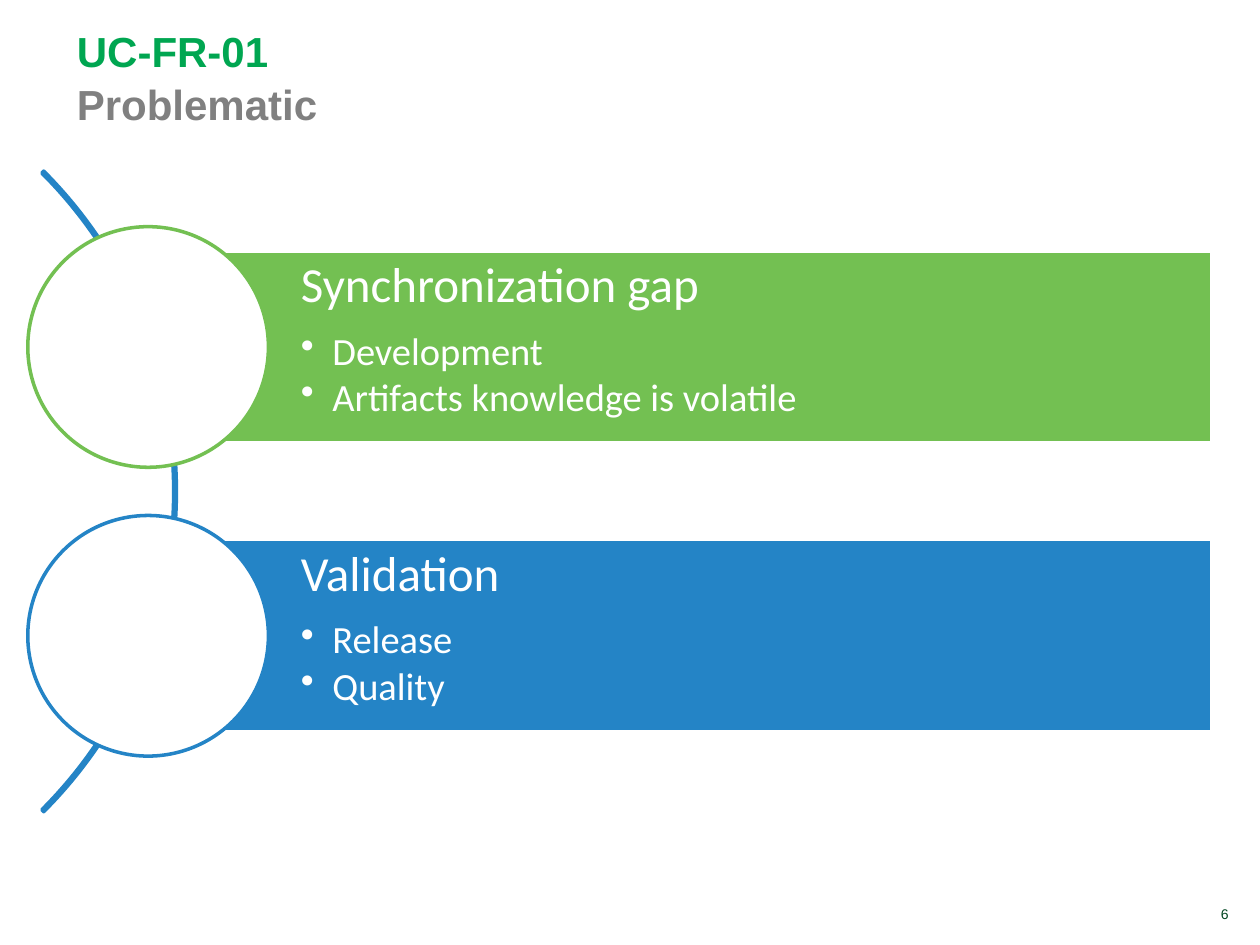
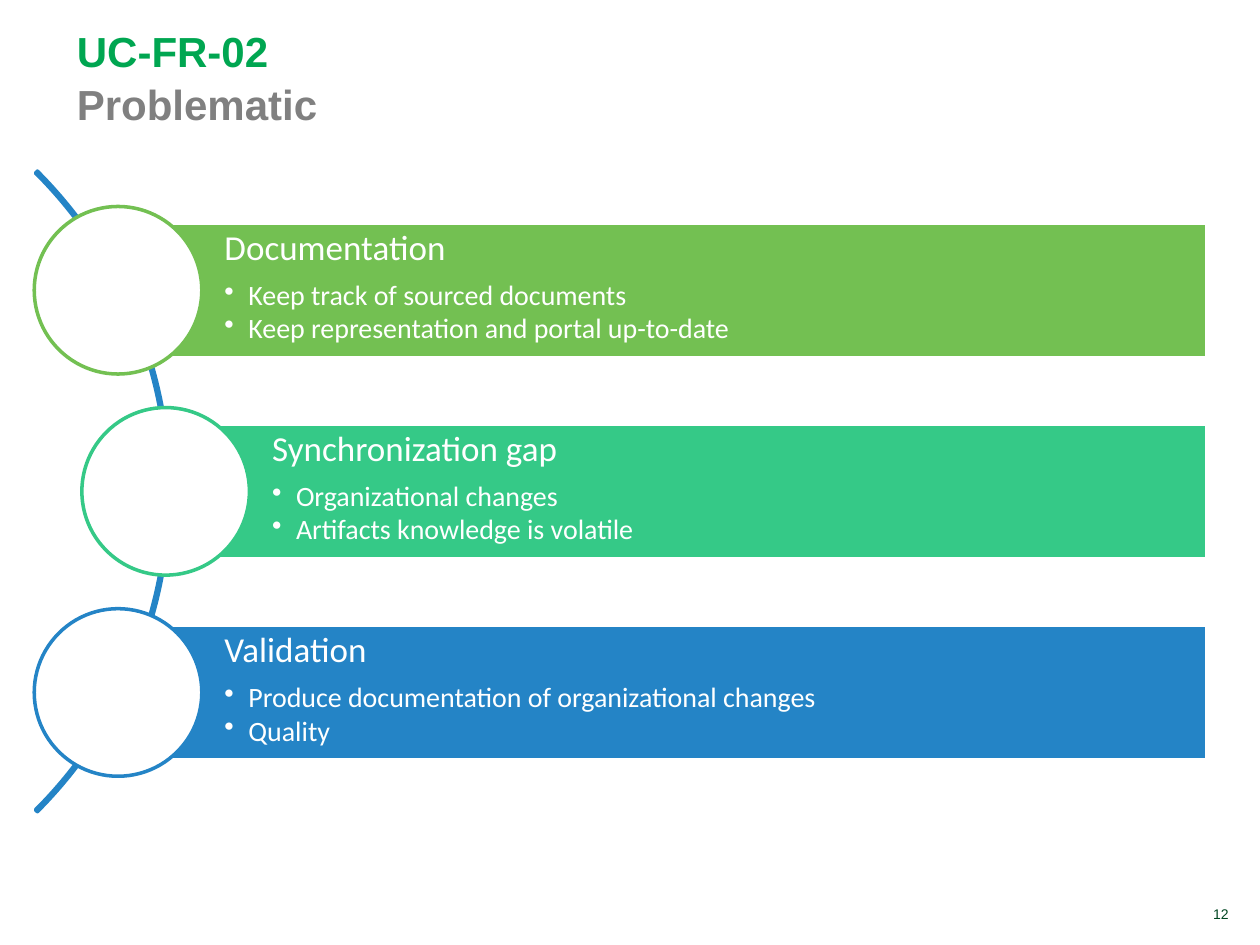
import math

from lxml import etree
from pptx import Presentation
from pptx.dml.color import RGBColor
from pptx.enum.shapes import MSO_SHAPE
from pptx.enum.text import MSO_ANCHOR, MSO_AUTO_SIZE, PP_ALIGN
from pptx.oxml.ns import qn
from pptx.util import Inches, Pt

LEFT, RIGHT = PP_ALIGN.LEFT, PP_ALIGN.RIGHT
TOP, BOTTOM = MSO_ANCHOR.TOP, MSO_ANCHOR.BOTTOM
RECTANGLE, ELLIPSE, BLOCK_ARC = MSO_SHAPE.RECTANGLE, MSO_SHAPE.OVAL, MSO_SHAPE.BLOCK_ARC
TITLE_ONLY_LAYOUT = 5

COLORS = {
    "white": "FFFFFF",
    "title": "00A651",
    "subtitle": "808080",
    "page": "004621",
    "green": "73C052",
    "teal": "35C987",
    "blue": "2484C6",
}
HEADING_FONT, BODY_FONT = "Arial", "Calibri"

TITLE_BOX = (0.51, 0.16, 6.81, 0.91)
PAGE_BOX = (8.54, 7.14, 1.31, 0.23)
ARC_SIZE = 7.19
ARC_MIDDLE = 3.9      # height of the arc's centre on the slide
CIRCLE_ORBIT = 3.56   # distance of the circles' centres from the arc's centre

SLIDES = [
    {
        "code": "UC-FR-01", "page": "6", "arc_left": -5.79, "bars_right": 9.62,
        "circle": 1.91, "heading_size": 28, "bullet_size": 22, "indent": 0.25,
        "rows": [
            ("green", "Synchronization gap", ["Development", "Artifacts knowledge is volatile"]),
            ("blue", "Validation", ["Release", "Quality"]),
        ],
    },
    {
        "code": "UC-FR-02", "page": "12", "arc_left": -5.84, "bars_right": 9.58,
        "circle": 1.33, "heading_size": 20, "bullet_size": 16, "indent": 0.19,
        "rows": [
            ("green", "Documentation",
             ["Keep track of sourced documents", "Keep representation and portal up-to-date"]),
            ("teal", "Synchronization gap",
             ["Organizational changes", "Artifacts knowledge is volatile"]),
            ("blue", "Validation",
             ["Produce documentation of organizational changes", "Quality"]),
        ],
    },
]


def color(name):
    return RGBColor.from_string(COLORS[name])


def write_text(frame, text, *, size, fill, font=BODY_FONT, bold=False, align=LEFT,
               line_spacing=None, space_after=0, bullet_indent=None):
    """Add a paragraph, using the frame's first one while it is still empty."""
    paragraph = frame.paragraphs[0]
    if paragraph.runs:
        paragraph = frame.add_paragraph()
    if bullet_indent:
        properties = paragraph._p.get_or_add_pPr()
        properties.set("marL", str(Inches(bullet_indent)))
        properties.set("indent", str(-Inches(bullet_indent)))
        etree.SubElement(properties, qn("a:buChar")).set("char", "•")
    paragraph.alignment = align
    paragraph.line_spacing = line_spacing
    paragraph.space_after = Pt(space_after)
    run = paragraph.add_run()
    run.text = text
    run.font.name, run.font.size, run.font.bold = font, Pt(size), bold
    run.font.color.rgb = color(fill)


def add_outlined_shape(slide, kind, box, line, fill=None):
    shape = slide.shapes.add_shape(kind, *map(Inches, box))
    shape.shadow.inherit = False
    if fill:
        shape.fill.solid()
        shape.fill.fore_color.rgb = color(fill)
    else:
        shape.fill.background()
    shape.line.color.rgb = color(line)
    shape.line.width = Pt(2)
    return shape


def fill_title(slide, box, code):
    title = slide.shapes.title
    title.left, title.top, title.width, title.height = map(Inches, box)
    frame = title.text_frame
    frame.auto_size = MSO_AUTO_SIZE.NONE
    frame.vertical_anchor = BOTTOM
    for text, fill in ((code, "title"), ("Problematic", "subtitle")):
        write_text(frame, text, size=24, fill=fill, font=HEADING_FONT, bold=True,
                   line_spacing=1.05)


def add_page_number(slide, box, page):
    frame = slide.shapes.add_textbox(*map(Inches, box)).text_frame
    frame.word_wrap = True
    frame.vertical_anchor = BOTTOM
    write_text(frame, page, size=8, fill="page", font=HEADING_FONT, align=RIGHT)


def add_arc(slide, left, middle):
    box = (left, middle - ARC_SIZE / 2, ARC_SIZE, ARC_SIZE)
    arc = add_outlined_shape(slide, BLOCK_ARC, box, "blue")
    for index, value in enumerate((189, 27, 0.003)):
        arc.adjustments[index] = value


def add_row(slide, center_x, center_y, content, row):
    """Draw a bar that starts at the centre of its circle."""
    fill, heading, bullets = row
    diameter = content["circle"]
    height = 0.8 * diameter
    box = (center_x, center_y - height / 2, content["bars_right"] - center_x, height)
    bar = add_outlined_shape(slide, RECTANGLE, box, "white", fill)
    frame = bar.text_frame
    frame.word_wrap = True
    frame.vertical_anchor = TOP
    frame.margin_left = Inches(0.635 * diameter)
    frame.margin_top = frame.margin_right = frame.margin_bottom = Inches(0.04 * diameter)
    size = content["heading_size"]
    write_text(frame, heading, size=size, fill="white", line_spacing=0.9,
               space_after=0.38 * size)
    size = content["bullet_size"]
    for bullet in bullets:
        write_text(frame, bullet, size=size, fill="white", line_spacing=0.9,
                   space_after=0.12 * size, bullet_indent=content["indent"])
    circle_box = (center_x - diameter / 2, center_y - diameter / 2, diameter, diameter)
    add_outlined_shape(slide, ELLIPSE, circle_box, fill, "white")


def add_arc_list(slide, content):
    """Place the rows at equal steps, with their circles along the arc."""
    add_arc(slide, content["arc_left"], ARC_MIDDLE)
    arc_center = content["arc_left"] + ARC_SIZE / 2
    rows = content["rows"]
    for index, row in enumerate(rows):
        offset = (index - (len(rows) - 1) / 2) * 1.2 * content["circle"]
        center_x = arc_center + math.sqrt(CIRCLE_ORBIT ** 2 - offset ** 2)
        add_row(slide, center_x, ARC_MIDDLE + offset, content, row)


def add_problem_slide(presentation, content):
    slide = presentation.slides.add_slide(presentation.slide_layouts[TITLE_ONLY_LAYOUT])
    add_page_number(slide, PAGE_BOX, content["page"])
    fill_title(slide, TITLE_BOX, content["code"])
    add_arc_list(slide, content)


def main():
    presentation = Presentation()
    presentation.slide_width, presentation.slide_height = Inches(10), Inches(7.5)
    for content in SLIDES:
        add_problem_slide(presentation, content)
    presentation.save("out.pptx")


if __name__ == "__main__":
    main()
